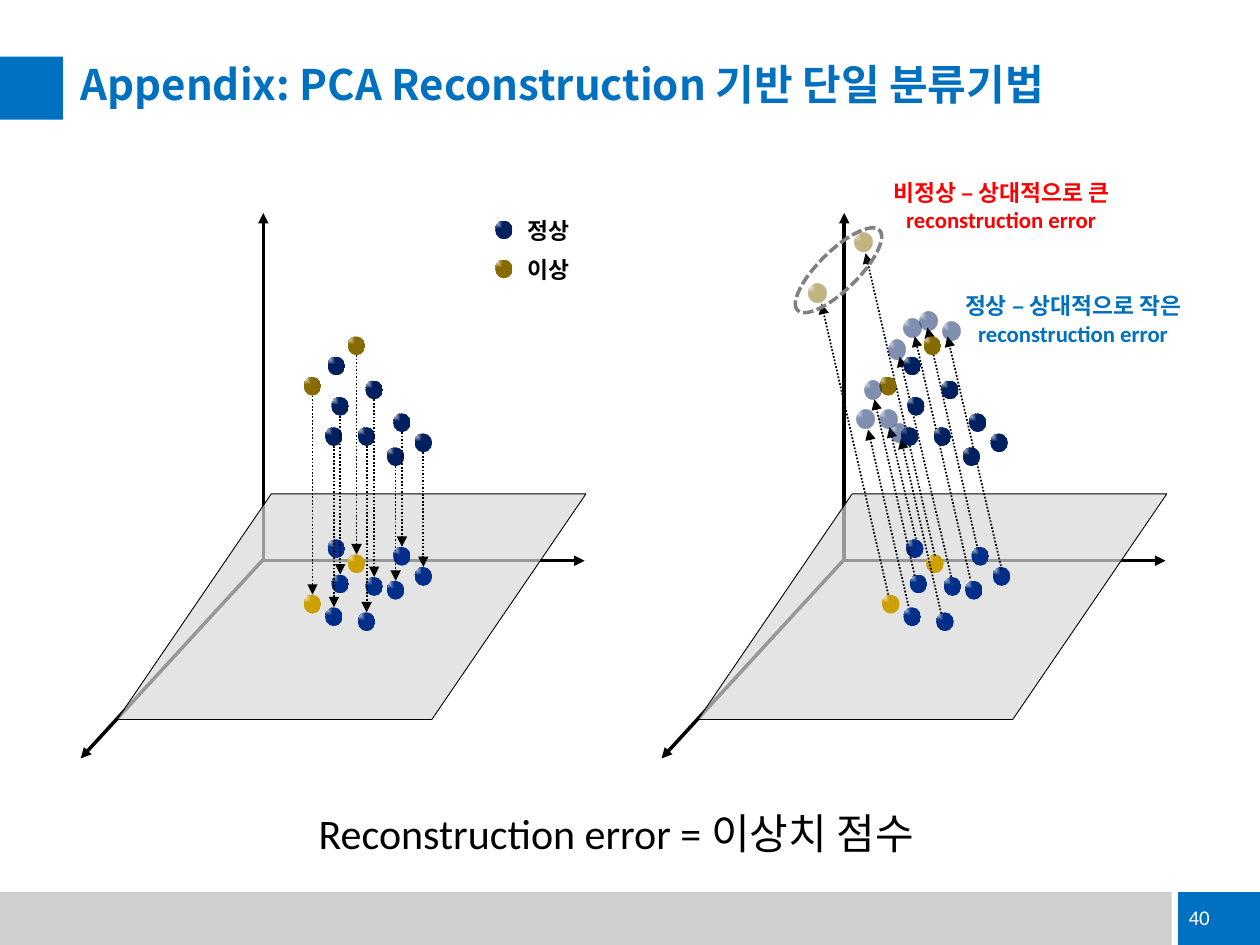
import dataclasses
import typing

import pptx
import pptx.dml.color
import pptx.enum.dml
import pptx.enum.shapes
import pptx.enum.text
import pptx.oxml
import pptx.oxml.ns
import pptx.shapes.autoshape
import pptx.shapes.shapetree
import pptx.util

RGB = pptx.dml.color.RGBColor
SHAPE = pptx.enum.shapes.MSO_SHAPE
DASH = pptx.enum.dml.MSO_LINE
ALIGN = pptx.enum.text.PP_ALIGN
ANCHOR = pptx.enum.text.MSO_ANCHOR
Shapes = typing.Union[pptx.shapes.shapetree.SlideShapes, pptx.shapes.shapetree.GroupShapes]
Point = typing.Tuple[float, float]
Frame = typing.Tuple[float, float, float, float]

BLUE = RGB(0x00, 0x70, 0xC0)
RED = RGB(0xFF, 0x00, 0x00)
BLACK = RGB(0x00, 0x00, 0x00)
WHITE = RGB(0xFF, 0xFF, 0xFF)
GRAY = RGB(0x80, 0x80, 0x80)
FOOTER_GRAY = RGB(0xCF, 0xCF, 0xCF)
PLANE_GRAY = RGB(0xD9, 0xD9, 0xD9)
NORMAL = RGB(0x00, 0x20, 0x60)
NORMAL_PROJECTED = RGB(0x00, 0x2E, 0x89)
ANOMALY = RGB(0x88, 0x6A, 0x02)
ANOMALY_PROJECTED = RGB(0xCC, 0x9F, 0x03)

LATIN_FONT = "Calibri"
KOREAN_FONT = "Noto Sans CJK KR"
CM_PER_INCH = 2.54
BALL_WIDTH, BALL_HEIGHT = 0.14, 0.15
PANEL_SHIFT = 4.61
OBSERVED_SHIFT = 4.57
PROJECTED_SHIFT = 4.59


@dataclasses.dataclass(frozen=True)
class Sample:
    x: float
    observed_y: float
    projected_y: float
    arrow_start: Point
    arrow_end: Point
    reconstructed: Point
    anomaly: bool = False
    dropped: bool = True

    @property
    def color(self) -> RGB:
        return ANOMALY if self.anomaly else NORMAL

    @property
    def projected_color(self) -> RGB:
        return ANOMALY_PROJECTED if self.anomaly else NORMAL_PROJECTED


@dataclasses.dataclass(frozen=True)
class Label:
    text: str
    frame: Frame
    size: float
    color: RGB
    bold: bool = False
    align: ALIGN = ALIGN.LEFT
    anchor: ANCHOR = ANCHOR.TOP


SAMPLES = [
    Sample(2.60, 2.83, 4.28, (7.27, 4.28), (7.06, 3.39), (6.98, 3.25), dropped=False),
    Sample(2.63, 3.15, 4.56, (7.26, 4.57), (6.94, 3.17), (6.86, 3.02)),
    Sample(2.90, 3.02, 4.58, (7.55, 4.58), (7.14, 2.83), (7.05, 2.70)),
    Sample(2.58, 3.39, 4.82, (7.21, 4.81), (6.89, 3.41), (6.80, 3.25)),
    Sample(3.07, 3.55, 4.61, (7.70, 4.59), (7.26, 2.67), (7.17, 2.53)),
    Sample(3.12, 3.28, 4.34, (7.76, 4.36), (7.36, 2.60), (7.30, 2.47)),
    Sample(2.84, 3.39, 4.86, (7.47, 4.87), (7.15, 3.48), (7.07, 3.36)),
    Sample(3.29, 3.44, 4.50, (7.95, 4.52), (7.52, 2.67), (7.48, 2.55)),
    Sample(2.76, 2.67, 4.40, (7.42, 4.41), (6.87, 2.01), (6.78, 1.85), anomaly=True),
    Sample(2.41, 2.99, 4.72, (7.05, 4.72), (6.52, 2.41), (6.42, 2.25), anomaly=True),
]
AXES = [((2.09, 4.45), (2.09, 1.69)), ((2.09, 4.45), (4.64, 4.45)), ((2.09, 4.44), (0.64, 6.02))]
BARS = [
    ((0, 7.08, 9.3, 0.42), FOOTER_GRAY),
    ((9.35, 7.08, 0.65, 0.42), BLUE),
    ((0, 0.45, 0.5, 0.5), BLUE),
]
LEGEND = [("정상", 1.75, NORMAL), ("이상", 2.06, ANOMALY)]
ERROR_LABELS = [
    Label("비정상 – 상대적으로 큰 reconstruction error", (6.61, 1.37, 2.67, 0.54), 13, RED, True, ALIGN.CENTER),
    Label("정상 – 상대적으로 작은reconstruction error", (7.44, 2.27, 2.15, 0.54), 13, BLUE, True, ALIGN.CENTER),
]
PAGE_LABELS = [
    Label("Reconstruction error = 이상치 점수", (1.98, 6.36, 5.82, 0.5), 24, BLACK, align=ALIGN.CENTER),
    Label("40", (7.45, 7.08, 2.25, 0.4), 12, WHITE, align=ALIGN.RIGHT, anchor=ANCHOR.MIDDLE),
]


def lengths(*inches: float) -> typing.List[pptx.util.Length]:
    return [pptx.util.Cm(value * CM_PER_INCH) for value in inches]


def xml(markup: str) -> typing.Any:
    head, rest = markup.split(" ", 1)
    return pptx.oxml.parse_xml(f"{head} {pptx.oxml.ns.nsdecls('a')} {rest}")


def format_text(frame: typing.Any, size: float, color: RGB, bold: bool, font: str, align: ALIGN) -> None:
    for para in frame.paragraphs:
        para.alignment = align
        for span in para.runs:
            span.font.size, span.font.bold, span.font.name = pptx.util.Pt(size), bold, font
            span.font.color.rgb = color
            span.font._element.append(xml(f'<a:ea typeface="{KOREAN_FONT}"/>'))


def add_label(shapes: Shapes, label: Label) -> None:
    frame = shapes.add_textbox(*lengths(*label.frame)).text_frame
    frame.word_wrap = True
    frame.vertical_anchor = label.anchor
    frame.text = label.text
    format_text(frame, label.size, label.color, label.bold, LATIN_FONT, label.align)


def add_block(shapes: Shapes, kind: SHAPE, frame: Frame,
              fill: typing.Optional[RGB] = None) -> pptx.shapes.autoshape.Shape:
    block = shapes.add_shape(kind, *lengths(*frame))
    block.shadow.inherit = False
    block.line.fill.background()
    if fill is None:
        block.fill.background()
    else:
        block.fill.solid()
        block.fill.fore_color.rgb = fill
    return block


def add_ball(shapes: Shapes, x: float, y: float, color: RGB, alpha: int = 100) -> None:
    ball = add_block(shapes, SHAPE.OVAL, (x, y, BALL_WIDTH, BALL_HEIGHT), color)
    stops = "".join(
        f'<a:gs pos="{position}"><a:srgbClr val="{stop}"><a:alpha val="{alpha * 1000}"/></a:srgbClr></a:gs>'
        for position, stop in ((0, WHITE), (83000, color), (100000, color)))
    solid = ball._element.spPr.find(pptx.oxml.ns.qn("a:solidFill"))
    solid.getparent().replace(solid, xml(
        f'<a:gradFill rotWithShape="1"><a:gsLst>{stops}</a:gsLst><a:path path="rect">'
        '<a:fillToRect r="100000" b="100000"/></a:path></a:gradFill>'))


def add_arrow(shapes: Shapes, start: Point, end: Point, width: float, dash: typing.Optional[DASH] = None) -> None:
    arrow = shapes.add_connector(pptx.enum.shapes.MSO_CONNECTOR.STRAIGHT, *lengths(*start, *end))
    arrow.line.color.rgb = BLACK
    arrow.line.width = pptx.util.Pt(width)
    if dash is not None:
        arrow.line.dash_style = dash
    arrow.line._get_or_add_ln().append(xml('<a:tailEnd type="triangle"/>'))
    arrow._element.spPr.append(xml("<a:effectLst />"))


def add_space(shapes: Shapes, shift: float) -> None:
    for start, end in AXES:
        add_arrow(shapes, (start[0] + shift, start[1]), (end[0] + shift, end[1]), 2)
    plane = add_block(shapes, SHAPE.PARALLELOGRAM, (0.93 + shift, 3.92, 3.72, 1.79), PLANE_GRAY)
    plane.adjustments[0] = 0.683
    plane.line.color.rgb = BLACK
    plane.line.width = pptx.util.Pt(0.5)
    plane._element.spPr.find(".//" + pptx.oxml.ns.qn("a:srgbClr")).append(xml('<a:alpha val="70000"/>'))


def add_projection(shapes: Shapes) -> None:
    add_space(shapes, 0)
    for text, y, color in LEGEND:
        add_ball(shapes, 3.93, y, color)
        add_label(shapes, Label(text, (4.09, y - 0.08, 1.02, 0.32), 13, BLACK, True))
    for sample in SAMPLES:
        add_ball(shapes, sample.x, sample.observed_y, sample.color)
        add_ball(shapes, sample.x, sample.projected_y, sample.projected_color)
    for sample in SAMPLES:
        if sample.dropped:
            center = sample.x + BALL_WIDTH / 2
            add_arrow(shapes, (center, sample.observed_y + BALL_HEIGHT), (center, sample.projected_y),
                      1, DASH.ROUND_DOT)


def add_reconstruction(shapes: Shapes) -> None:
    add_space(shapes, PANEL_SHIFT)
    for sample in SAMPLES:
        add_ball(shapes, sample.x + PROJECTED_SHIFT, sample.projected_y, sample.projected_color)
    for sample in SAMPLES:
        add_arrow(shapes, sample.arrow_start, sample.arrow_end, 1, DASH.ROUND_DOT)
    for sample in SAMPLES:
        add_ball(shapes, sample.x + OBSERVED_SHIFT, sample.observed_y, sample.color)
    for sample in SAMPLES:
        add_ball(shapes, *sample.reconstructed, sample.color, alpha=50)
    outline = add_block(shapes, SHAPE.OVAL, (6.2, 1.99, 0.91, 0.31))
    outline.rotation = 315.6
    outline.line.color.rgb = GRAY
    outline.line.width = pptx.util.Pt(2)
    outline.line.dash_style = DASH.SQUARE_DOT
    for label in ERROR_LABELS:
        add_label(shapes, label)


def main() -> None:
    deck = pptx.Presentation()
    deck.slide_width, deck.slide_height = lengths(10, 7.5)
    page = deck.slides.add_slide(deck.slide_layouts[5])
    for frame, color in BARS:
        add_block(page.shapes, SHAPE.RECTANGLE, frame, color)
    title = page.shapes.title
    title.left, title.top, title.width, title.height = lengths(0.64, 0.51, 8.72, 0.38)
    frame = title.text_frame
    frame.margin_left = frame.margin_top = frame.margin_right = frame.margin_bottom = 0
    frame.vertical_anchor = ANCHOR.TOP
    frame.text = "Appendix: PCA Reconstruction 기반 단일 분류기법"
    frame.paragraphs[0].line_spacing = 0.9
    format_text(frame, 24, BLUE, True, KOREAN_FONT, ALIGN.LEFT)
    add_projection(page.shapes.add_group_shape().shapes)
    add_reconstruction(page.shapes.add_group_shape().shapes)
    for label in PAGE_LABELS:
        add_label(page.shapes, label)
    deck.save("out.pptx")


if __name__ == "__main__":
    main()
